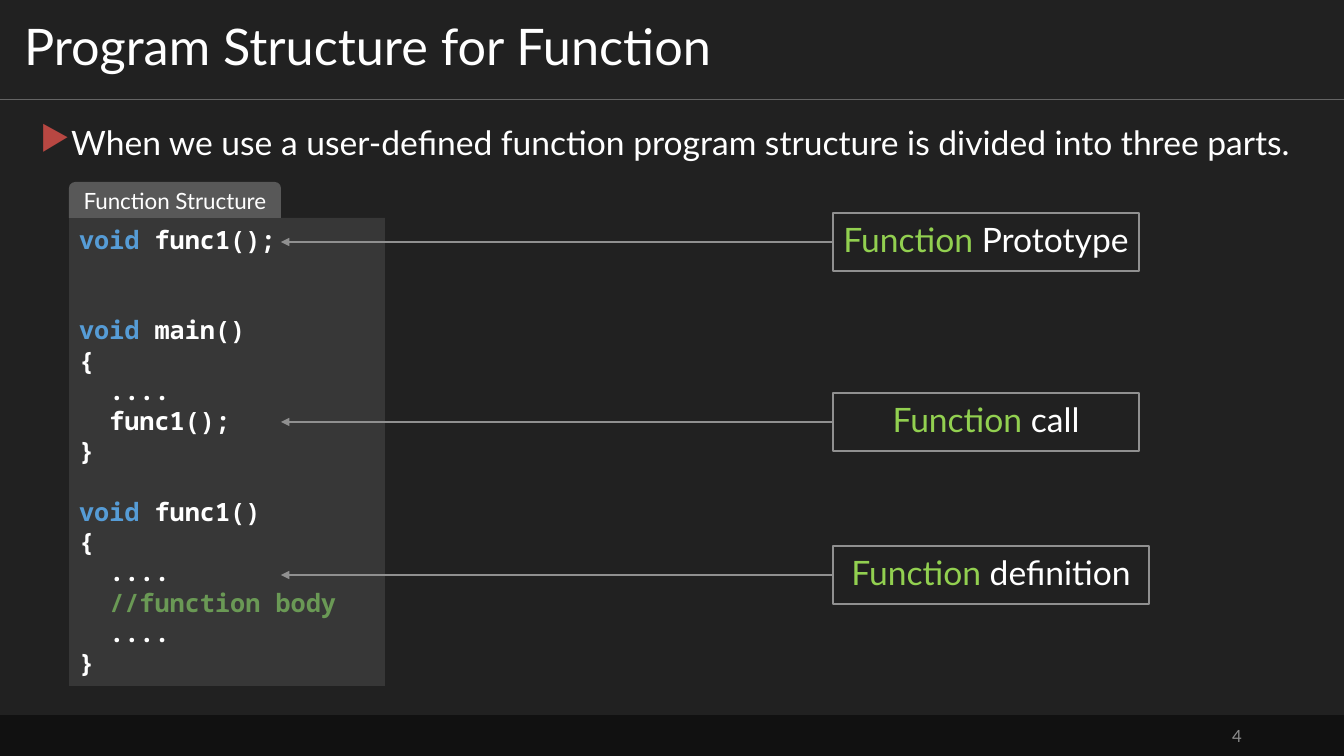
from lxml.etree import SubElement
from pptx import Presentation
from pptx.dml.color import RGBColor
from pptx.enum.shapes import MSO_CONNECTOR, MSO_SHAPE
from pptx.enum.text import MSO_ANCHOR, MSO_AUTO_SIZE, PP_ALIGN
from pptx.oxml.ns import qn
from pptx.util import Pt

TITLE = "Program Structure for Function"
POINT = "When we use a user-defined function program structure is divided into three parts."
TAB = "Function Structure"
PAGE = "4"
SANS, MONO = "Lato", "Noto Sans Mono"
WHITE, DARK, GREY = "FFFFFF", "212121", "909090"
BLUE, GREEN, LIME = "569CD6", "6A9955", "92D050"
CODE = [
    [("void", BLUE), (" func1();", WHITE)],
    [],
    [],
    [("void", BLUE), (" main()", WHITE)],
    [("{", WHITE)],
    [("  ....", WHITE)],
    [("  func1();", WHITE)],
    [("}", WHITE)],
    [],
    [("void", BLUE), (" func1()", WHITE)],
    [("{", WHITE)],
    [("  ....", WHITE)],
    [("  //function body", GREEN)],
    [("  ....", WHITE)],
    [("}", WHITE)],
]
LABELS = [("Prototype", 213, 306), ("call", 393, 306), ("definition", 546, 316)]
LEFT, HIGH, TIP = 833, 58, 281
WIDE, TALL = 1344, 756


def px(num):
    return round(num * 914400 / 100.8)


def tint(color):
    return RGBColor.from_string(color)


def write(para, runs, size, font=SANS, bold=False):
    para.font.size = Pt(size)
    for text, color in runs:
        run = para.add_run()
        run.text = text
        run.font.size = Pt(size)
        run.font.name = font
        run.font.bold = bold
        run.font.color.rgb = tint(color)


def frame(shape, insets, anchor=MSO_ANCHOR.MIDDLE, align=PP_ALIGN.LEFT):
    text = shape.text_frame
    text.word_wrap = True
    text.auto_size = MSO_AUTO_SIZE.NONE
    text.vertical_anchor = anchor
    text.margin_left = text.margin_right = px(insets[0])
    text.margin_top = text.margin_bottom = px(insets[1])
    text.paragraphs[0].alignment = align
    return text


def block(slide, kind, box, fill, line=None):
    shape = slide.shapes.add_shape(kind, *map(px, box))
    shape.shadow.inherit = False
    shape.fill.solid()
    shape.fill.fore_color.rgb = tint(fill)
    if line:
        shape.line.color.rgb = tint(line)
        shape.line.width = Pt(1.5)
    else:
        shape.line.fill.background()
    return shape


def rule(slide, ends, color, width):
    line = slide.shapes.add_connector(MSO_CONNECTOR.STRAIGHT, *map(px, ends))
    line.line.color.rgb = tint(color)
    line.line.width = Pt(width)
    SubElement(line._element.spPr, qn("a:effectLst"))
    return line


def head(slide):
    rule(slide, (0, 99, WIDE, 99), "646464", 0.5)
    block(slide, MSO_SHAPE.RECTANGLE, (0, 715, WIDE, 41), "111111")
    page = slide.shapes.add_textbox(*map(px, (950, 716, 302, 40)))
    text = frame(page, (10, 5), align=PP_ALIGN.RIGHT)
    write(text.paragraphs[0], [(PAGE, "8D8D8D")], 12)
    title = slide.shapes.title
    title.left, title.top, title.width, title.height = map(px, (0, 0, WIDE, 99))
    para = frame(title, (24, 12)).paragraphs[0]
    para.line_spacing = 0.9
    write(para, [(TITLE, WHITE)], 36)


def bullet(slide):
    body = slide.shapes.add_textbox(*map(px, (30, 121, 1286, 66)))
    para = frame(body, (10, 5), MSO_ANCHOR.TOP).paragraphs[0]
    para.line_spacing = 0.9
    props = para._p.get_or_add_pPr()
    props.set("marL", str(px(29)))
    props.set("indent", str(-px(29)))
    SubElement(SubElement(props, qn("a:buClr")), qn("a:srgbClr")).set("val", "B84742")
    SubElement(props, qn("a:buChar")).set("char", "▶")
    write(para, [(POINT, WHITE)], 24)


def listing(slide):
    panel = block(slide, MSO_SHAPE.RECTANGLE, (69, 218, 316, 468), "373737")
    text = frame(panel, (10, 6), MSO_ANCHOR.TOP)
    for row, runs in enumerate(CODE):
        para = text.add_paragraph() if row else text.paragraphs[0]
        para.alignment = PP_ALIGN.LEFT
        para.line_spacing = Pt(21.6)
        write(para, runs, 18, MONO, True)
    tab = block(slide, MSO_SHAPE.ROUND_2_SAME_RECTANGLE, (69, 182, 212, 36), "585858")
    text = frame(tab, (10, 0), align=PP_ALIGN.CENTER)
    write(text.paragraphs[0], [(TAB, WHITE)], 16)


def labels(slide):
    for word, top, wide in LABELS:
        box = block(slide, MSO_SHAPE.RECTANGLE, (LEFT, top, wide, HIGH), DARK, GREY)
        para = frame(box, (2, 2), align=PP_ALIGN.CENTER).paragraphs[0]
        para.line_spacing = 0.9
        write(para, [("Function ", LIME), (word, WHITE)], 24)
        mid = top + HIGH // 2
        arrow = rule(slide, (LEFT, mid, TIP, mid), GREY, 1)
        arrow.begin_connect(box, 1)
        SubElement(arrow.line._get_or_add_ln(), qn("a:tailEnd")).set("type", "triangle")


def main():
    """Build the slide on the three parts of a program with a function."""
    deck = Presentation()
    deck.slide_width, deck.slide_height = px(WIDE), px(TALL)
    slide = deck.slides.add_slide(deck.slide_layouts[5])
    slide.background.fill.solid()
    slide.background.fill.fore_color.rgb = tint(DARK)
    head(slide)
    bullet(slide)
    listing(slide)
    labels(slide)
    deck.save("out.pptx")


if __name__ == "__main__":
    main()
